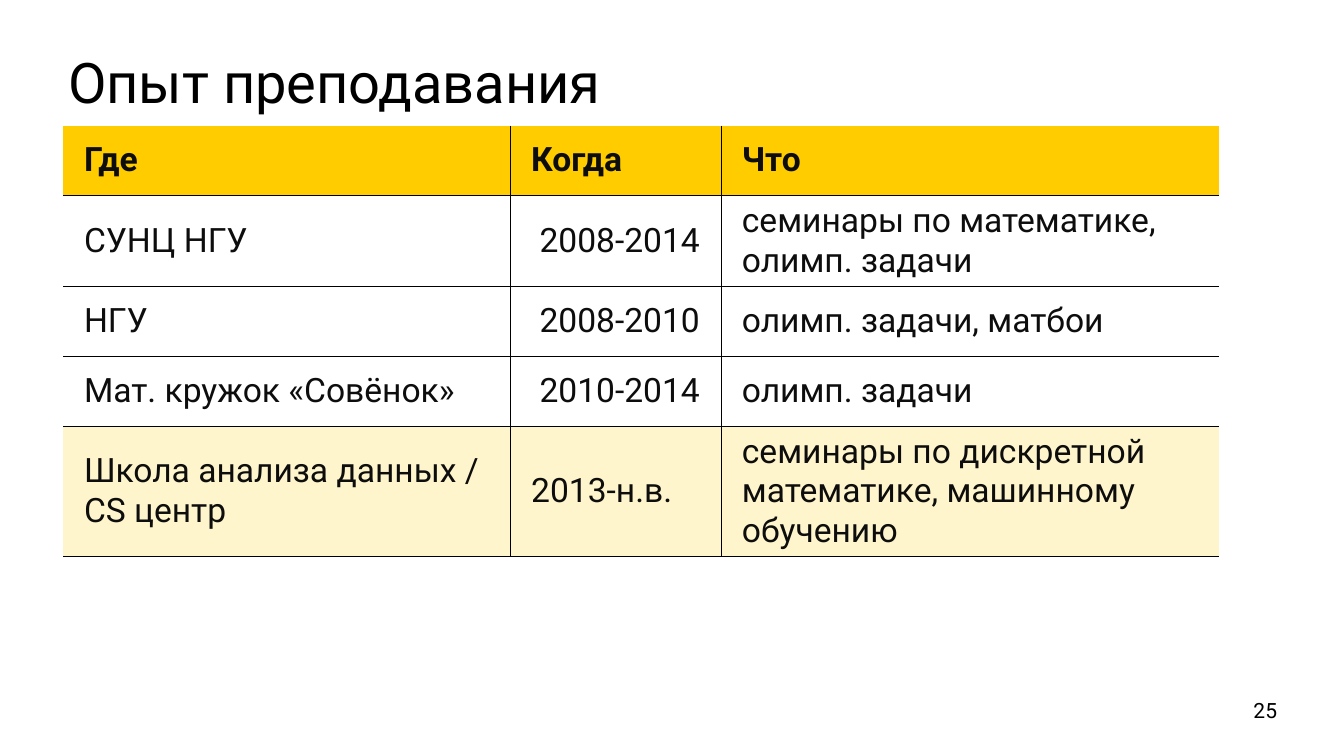
import dataclasses

import lxml.etree
import pptx
import pptx.dml.color
import pptx.enum.text
import pptx.oxml.ns
import pptx.util

Pt = pptx.util.Pt
Align = pptx.enum.text.PP_ALIGN
Anchor = pptx.enum.text.MSO_ANCHOR

FONT = "Roboto"
BLACK, TEXT = "000000", "0D0D0D"
HEADER_FILL, PLAIN_FILL, CURRENT_FILL = "FFCC00", "FFFFFF", "FFF5CC"
COLUMN_WIDTHS = (638.64, 300.96, 711.36)
ROW_HEIGHT = 100


@dataclasses.dataclass
class TableRow:
    place: str
    period: str
    subject: str
    fill: str = PLAIN_FILL
    bold: bool = False
    period_align: Align = Align.RIGHT


ROWS = [
    TableRow("Где", "Когда", "Что", HEADER_FILL, True, Align.LEFT),
    TableRow("СУНЦ НГУ", "2008-2014", "семинары по математике,\nолимп. задачи"),
    TableRow("НГУ", "2008-2010", "олимп. задачи, матбои"),
    TableRow("Мат. кружок «Совёнок»", "2010-2014", "олимп. задачи"),
    TableRow("Школа анализа данных / CS центр", "2013-н.в.",
             "семинары по дискретной математике, машинному обучению",
             CURRENT_FILL, period_align=Align.LEFT),
]


def color(value: str) -> pptx.dml.color.RGBColor:
    return pptx.dml.color.RGBColor.from_string(value)


def write(frame, text: str, size: float, ink: str, align=Align.LEFT, bold=False) -> None:
    frame.text = text
    for paragraph in frame.paragraphs:
        paragraph.alignment = align
        for span in paragraph.runs:
            span.font.name = FONT
            span.font.size = Pt(size)
            span.font.bold = bold
            span.font.color.rgb = color(ink)


def set_margins(frame, side: float, edge: float) -> None:
    frame.margin_left = frame.margin_right = Pt(side)
    frame.margin_top = frame.margin_bottom = Pt(edge)


def set_borders(cell, visible: dict[str, bool]) -> None:
    """Draw a thin line on each visible side and clear the others."""
    qn = pptx.oxml.ns.qn
    properties = cell._tc.get_or_add_tcPr()
    for index, (side, shown) in enumerate(visible.items()):
        line = lxml.etree.Element(qn(f"a:ln{side}"), w=str(Pt(1)))
        properties.insert(index, line)
        if shown:
            fill = lxml.etree.SubElement(line, qn("a:solidFill"))
            lxml.etree.SubElement(fill, qn("a:srgbClr"), val=BLACK)
        else:
            lxml.etree.SubElement(line, qn("a:noFill"))


def add_title(page, text: str) -> None:
    title = page.shapes.title
    title.left, title.top, title.width, title.height = Pt(90), Pt(60), Pt(1742), Pt(119)
    frame = title.text_frame
    frame.vertical_anchor = Anchor.TOP
    set_margins(frame, 7.2, 3.6)
    write(frame, text, 80, BLACK)
    frame.paragraphs[0].line_spacing = Pt(100)


def add_table(page, rows: list[TableRow]) -> None:
    table = page.shapes.add_table(
        len(rows), len(COLUMN_WIDTHS), Pt(90), Pt(179.28),
        Pt(sum(COLUMN_WIDTHS)), Pt(ROW_HEIGHT * len(rows))).table
    for column, width in zip(table.columns, COLUMN_WIDTHS):
        column.width = Pt(width)
    for row_index, row in enumerate(rows):
        table.rows[row_index].height = Pt(ROW_HEIGHT)
        entries = ((row.place, Align.LEFT), (row.period, row.period_align),
                   (row.subject, Align.LEFT))
        for column_index, (text, align) in enumerate(entries):
            cell = table.cell(row_index, column_index)
            cell.fill.solid()
            cell.fill.fore_color.rgb = color(row.fill)
            cell.vertical_anchor = Anchor.MIDDLE
            set_margins(cell, 30, 8.5)
            write(cell.text_frame, text, 48, TEXT, align, row.bold)
            set_borders(cell, {"L": column_index > 0,
                               "R": column_index < len(entries) - 1,
                               "T": row_index > 0, "B": True})


def add_page_number(page, number: int) -> None:
    box = page.shapes.add_textbox(Pt(1741), Pt(999.5), Pt(90), Pt(30))
    frame = box.text_frame
    frame.word_wrap = True
    frame.vertical_anchor = Anchor.MIDDLE
    set_margins(frame, 7.2, 3.6)
    write(frame, str(number), 30, BLACK, Align.RIGHT)


def main() -> None:
    deck = pptx.Presentation()
    deck.slide_width, deck.slide_height = Pt(1919.52), Pt(1080)
    # "Title Only" layout
    page = deck.slides.add_slide(deck.slide_layouts[5])
    add_title(page, "Опыт преподавания")
    add_table(page, ROWS)
    add_page_number(page, 25)
    deck.save("out.pptx")


if __name__ == "__main__":
    main()
